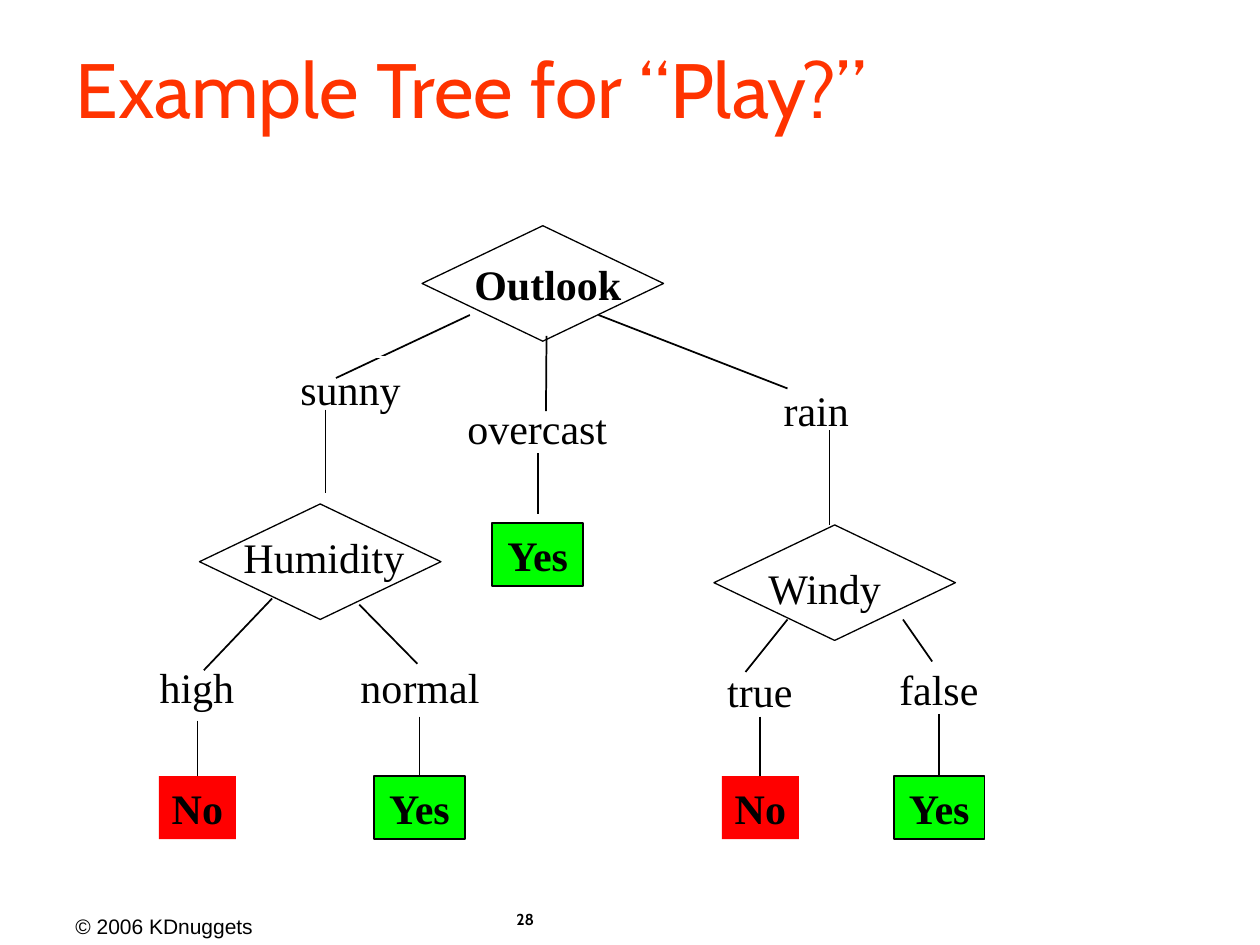
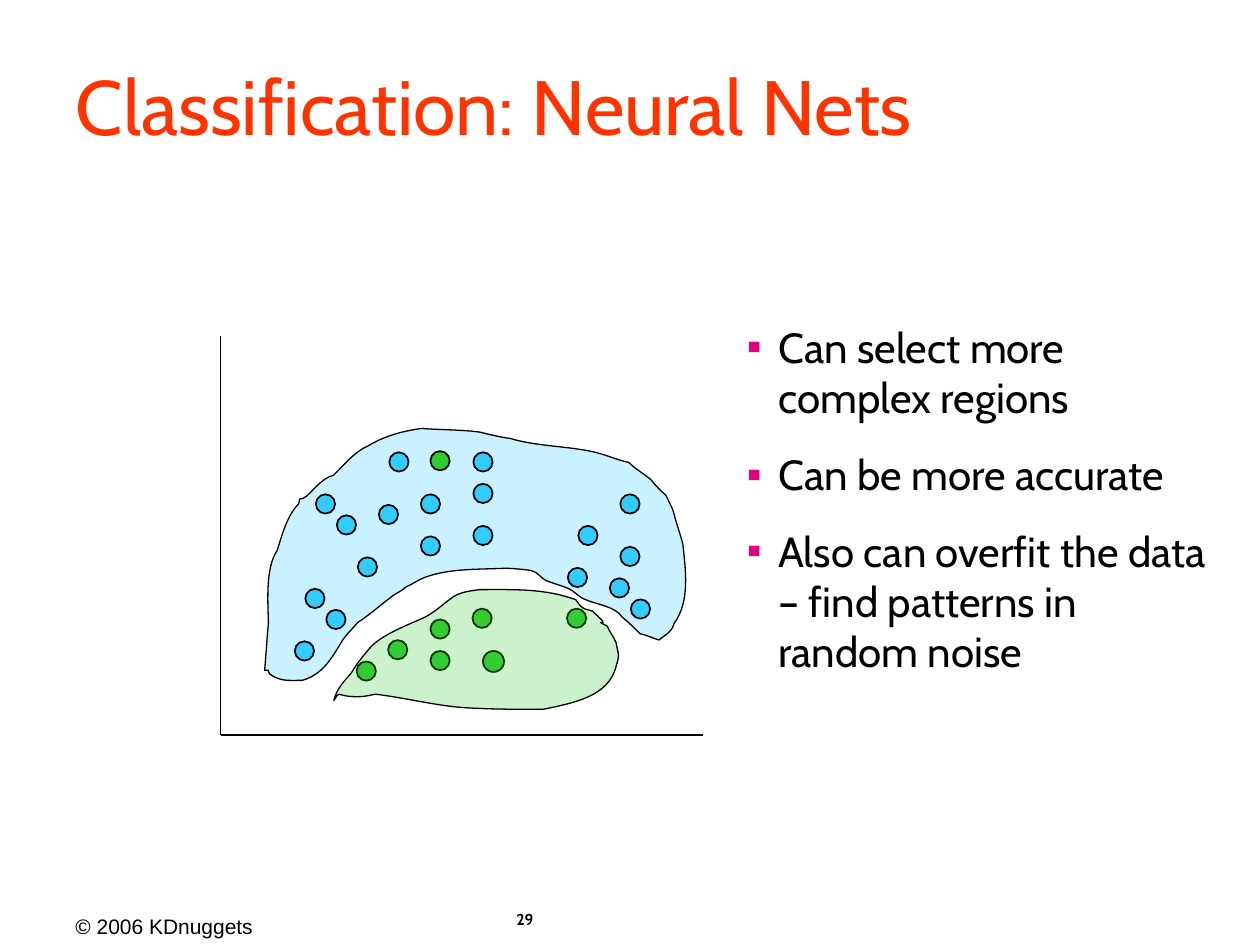
from pptx import Presentation
from pptx.dml.color import RGBColor
from pptx.enum.shapes import MSO_CONNECTOR, MSO_SHAPE
from pptx.enum.text import MSO_ANCHOR, MSO_AUTO_SIZE, PP_ALIGN
from pptx.oxml.ns import qn
from pptx.util import Pt
from lxml.etree import SubElement

# Shared style
COLORS = {"title": "FF3300", "text": "000000", "white": "FFFFFF", "bullet": "E2007F",
          "no": "FF0000", "yes": "00FF00", "blue": "33CCFF", "green": "33CC33"}
HEAD, SERIF, SANS = "Cabin", "Times New Roman", "Arial"
FOOTER = "© 2006 KDnuggets"
ROW = 36  # height of a one-line tree label

# Slide 28: decision tree, lengths in points
TREE_TITLE = "Example Tree for “Play?”"
# test: diamond left, top; text left, top, width
TESTS = [
    ("Outlook", (241.2, 129), (264, 144, 100), True),
    ("Humidity", (114, 288), (132, 300, 107), False),
    ("Windy", (408, 300), (432, 318, 80), False),
]
DIAMOND = (138, 66)
# value: left, top, width
VALUES = [
    ("overcast", 259, 226.5, 96), ("high", 84, 374.5, 57),
    ("normal", 198.5, 374.5, 83), ("false", 506.5, 375.5, 60),
    ("true", 408.2, 376.5, 52), ("sunny", 164.3, 204, 72),
    ("rain", 440.5, 216, 52),
]
# answer: left, top, width, top of its stem
LEAVES = [
    ("No", 90.8, 443.5, 44, 411.8), ("No", 412.5, 443.5, 44, 409.5),
    ("Yes", 213.7, 443.5, 52, 409.5), ("Yes", 510.7, 443.5, 52, 408),
]
LONE_LEAF = ("Yes", 281.3, 299, 52)
# branch: x1, y1, x2, y2
BRANCHES = [
    (268.5, 180, 192, 216), (312.3, 192, 312, 235), (342, 180, 450, 222),
    (155.5, 342, 116.5, 383), (205.3, 345.5, 238.5, 379.3),
    (450, 354, 426, 384), (516, 354, 532.7, 378), (307.3, 259, 307.3, 294),
]
THIN = [(186, 234, 186, 282), (474, 246, 474, 300)]

# Slide 29: neural nets, lengths in points
NETS_TITLE = "Classification: Neural Nets"
POINTS = [
    "Can select more complex regions",
    "Can be more accurate",
    "Also can overfit the data – find patterns in random noise",
]
AXES = [(126, 192, 126, 420), (126, 420, 402, 420)]
DOT = 11
BLUE_DOTS = [  # centres
    (186, 288), (198, 300), (222, 294), (246, 288), (180, 342), (276, 264),
    (210, 324), (246, 312), (276, 306), (192, 354), (174, 372), (228, 264),
    (276, 282), (360, 288), (336, 306), (330, 330), (354, 336), (366, 348),
    (360, 318),
]
GREEN_DOTS = [
    (209.3, 383.5), (227.3, 371.3), (251.5, 377.5), (251.5, 359.5),
    (275.5, 353.3), (251.5, 263.3), (329.5, 353.3),
]
BIG_DOT = (282, 378)

# Region outlines in grid steps: a start, then two handles and an end per curve
STEP = 0.72
BLUE_START = (210, 532)
BLUE_CURVES = [
    (211, 522, 212, 505, 213, 495), (213, 482, 210, 451, 220, 437),
    (224, 424, 228, 409, 237, 400), (239, 392, 236, 399, 243, 394),
    (250, 388, 255, 380, 265, 377), (272, 370, 282, 358, 292, 354),
    (305, 346, 320, 342, 335, 340), (342, 341, 369, 341, 381, 343),
    (389, 345, 397, 347, 405, 348), (425, 354, 448, 354, 468, 358),
    (479, 360, 489, 365, 499, 367), (504, 372, 511, 376, 517, 381),
    (519, 384, 522, 387, 525, 390), (527, 391, 529, 394, 529, 394),
    (531, 399, 534, 403, 535, 408), (537, 416, 540, 424, 542, 432),
    (544, 452, 548, 477, 535, 495), (533, 502, 529, 503, 523, 508),
    (517, 506, 513, 504, 508, 503), (504, 499, 498, 493, 494, 490),
    (488, 481, 474, 480, 465, 476), (459, 474, 456, 469, 451, 467),
    (446, 465, 439, 463, 434, 461), (429, 459, 427, 454, 422, 453),
    (418, 452, 405, 451, 401, 451), (381, 452, 357, 451, 338, 458),
    (332, 460, 327, 464, 322, 466), (318, 470, 313, 471, 309, 475),
    (301, 481, 292, 489, 284, 494), (280, 499, 277, 501, 272, 508),
    (264, 521, 257, 535, 240, 540), (228, 540, 223, 541, 214, 535),
    (212, 531, 214, 532, 210, 532),
]
GREEN_START = (265, 556)
GREEN_CURVES = [
    (267, 547, 273, 541, 279, 534), (283, 527, 288, 521, 293, 515),
    (302, 504, 324, 496, 337, 490), (345, 486, 351, 480, 358, 475),
    (364, 470, 373, 469, 381, 468), (410, 468, 432, 467, 457, 476),
    (459, 478, 460, 481, 462, 482), (464, 484, 468, 484, 470, 485),
    (490, 502, 467, 489, 482, 497), (484, 502, 487, 505, 489, 510),
    (491, 521, 492, 519, 489, 529), (483, 553, 455, 558, 431, 563),
    (412, 563, 393, 563, 374, 562), (349, 561, 323, 554, 298, 551),
    (293, 552, 289, 553, 284, 553), (265, 553, 271, 547, 265, 556),
]


def rgb(name):
    return RGBColor.from_string(COLORS[name])


def style(para, face, size, color="text", bold=False):
    font = para.font
    font.name, font.size, font.bold = face, Pt(size), bold
    font.color.rgb = rgb(color)


def paint(shape, fill=None, edge=None, width=1):
    shape.shadow.inherit = False
    if fill:
        shape.fill.solid()
        shape.fill.fore_color.rgb = rgb(fill)
    else:
        shape.fill.background()
    if edge:
        shape.line.color.rgb = rgb(edge)
        shape.line.width = Pt(width)
    else:
        shape.line.fill.background()


def write(shape, text, face, size, bold=False, align=PP_ALIGN.LEFT, wrap=False):
    frame = shape.text_frame
    frame.word_wrap = wrap
    frame.auto_size = MSO_AUTO_SIZE.NONE if wrap else MSO_AUTO_SIZE.SHAPE_TO_FIT_TEXT
    frame.vertical_anchor = MSO_ANCHOR.TOP
    para = frame.paragraphs[0]
    para.text, para.alignment = text, align
    style(para, face, size, bold=bold)


def label(slide, text, box, face, size, **look):
    shape = slide.shapes.add_textbox(*map(Pt, box))
    write(shape, text, face, size, **look)
    return shape


def shape_at(slide, kind, box, fill=None, edge=None, width=1):
    shape = slide.shapes.add_shape(kind, *map(Pt, box))
    paint(shape, fill, edge, width)
    return shape


def draw_line(slide, ends, width=1):
    line = slide.shapes.add_connector(MSO_CONNECTOR.STRAIGHT, *map(Pt, ends))
    line.line.color.rgb = rgb("text")
    line.line.width = Pt(width)
    SubElement(line._element.spPr, qn("a:effectLst"))
    return line


def start(deck, layout, title, anchor, number):
    slide = deck.slides.add_slide(deck.slide_layouts[layout])
    head = slide.shapes.title
    head.left, head.top, head.width, head.height = map(Pt, (36, 18, 654, 72))
    frame = head.text_frame
    frame.text = title
    frame.vertical_anchor, frame.auto_size = anchor, MSO_AUTO_SIZE.NONE
    para = frame.paragraphs[0]
    para.alignment, para.line_spacing = PP_ALIGN.LEFT, 0.85
    style(para, HEAD, 44, "title")
    label(slide, FOOTER, (36, 518.5, 116, 21.5), SANS, 12)
    label(slide, str(number), (288, 516.4, 73.5, 23.6), HEAD, 9, bold=True, wrap=True)
    return slide


def add_leaf(slide, text, left, top, width):
    edge = "text" if text == "Yes" else None
    leaf = shape_at(slide, MSO_SHAPE.RECTANGLE, (left, top, width, ROW), text.lower(), edge)
    write(leaf, text, SERIF, 24, bold=True, align=PP_ALIGN.CENTER)
    return leaf


def add_tree(slide):
    for ends in BRANCHES:
        draw_line(slide, ends)
    for text, left, top, width in VALUES:
        box = label(slide, text, (left, top, width, ROW), SERIF, 24, align=PP_ALIGN.CENTER)
        if text == "sunny":
            paint(box, edge="white")
    # Answers, each joined to its stem
    for text, left, top, width, stem in LEAVES:
        leaf = add_leaf(slide, text, left, top, width)
        mid = left + width / 2
        draw_line(slide, (mid, stem, mid, top)).end_connect(leaf, 0)
    add_leaf(slide, *LONE_LEAF)
    for text, spot, (left, top, width), bold in TESTS:
        shape_at(slide, MSO_SHAPE.DIAMOND, spot + DIAMOND, edge="text", width=0.75)
        label(slide, text, (left, top, width, ROW), SERIF, 24, bold=bold)
    for ends in THIN:
        draw_line(slide, ends, 0.75)


def add_area(slide, first, curves, color, alpha):
    pen = slide.shapes.build_freeform(*first, scale=Pt(STEP))
    for curve in curves:
        pen.add_line_segments(list(zip(curve[::2], curve[1::2])), close=False)
    area = pen.convert_to_shape()
    paint(area, color, "text", 0.75)
    props = area._element.spPr
    SubElement(props.find(qn("a:solidFill"))[0], qn("a:alpha"), val=str(alpha * 1000))
    # Turn each three straight steps into one curve
    track = next(props.iter(qn("a:path")))
    steps = track.findall(qn("a:lnTo"))
    for i in range(0, len(steps), 3):
        bend = SubElement(track, qn("a:cubicBezTo"))
        for step in steps[i:i + 3]:
            bend.append(step[0])
            track.remove(step)
    SubElement(track, qn("a:close"))


def add_dots(slide, spots, color, size=DOT):
    for x, y in spots:
        box = (x - size / 2, y - size / 2, size, size)
        shape_at(slide, MSO_SHAPE.OVAL, box, color, "text")


def add_list(slide):
    body = slide.placeholders[1]
    body.left, body.top, body.width, body.height = map(Pt, (419.6, 180, 282.4, 288))
    frame = body.text_frame
    frame.auto_size, frame.vertical_anchor = MSO_AUTO_SIZE.NONE, MSO_ANCHOR.TOP
    frame.text = "\n".join(POINTS)
    for i, para in enumerate(frame.paragraphs):
        para.space_before = Pt(15 if i else 0)
        props = para._p.get_or_add_pPr()
        props.set("marL", str(Pt(18)))
        props.set("indent", str(-Pt(18)))
        tint = SubElement(props, qn("a:buClr"))
        SubElement(tint, qn("a:srgbClr"), val=COLORS["bullet"])
        SubElement(props, qn("a:buChar"), char="▪")
        style(para, HEAD, 24)


def add_plot(slide):
    add_area(slide, BLUE_START, BLUE_CURVES, "blue", 26)
    for ends in AXES:
        draw_line(slide, ends)
    add_dots(slide, BLUE_DOTS, "blue")
    add_dots(slide, GREEN_DOTS, "green")
    add_dots(slide, [BIG_DOT], "green", 12)
    add_area(slide, GREEN_START, GREEN_CURVES, "green", 25)


def main():
    deck = Presentation()
    deck.slide_width, deck.slide_height = Pt(720), Pt(540)
    add_tree(start(deck, 5, TREE_TITLE, MSO_ANCHOR.MIDDLE, 28))
    nets = start(deck, 1, NETS_TITLE, MSO_ANCHOR.BOTTOM, 29)
    add_list(nets)
    add_plot(nets)
    deck.save("out.pptx")


if __name__ == "__main__":
    main()
